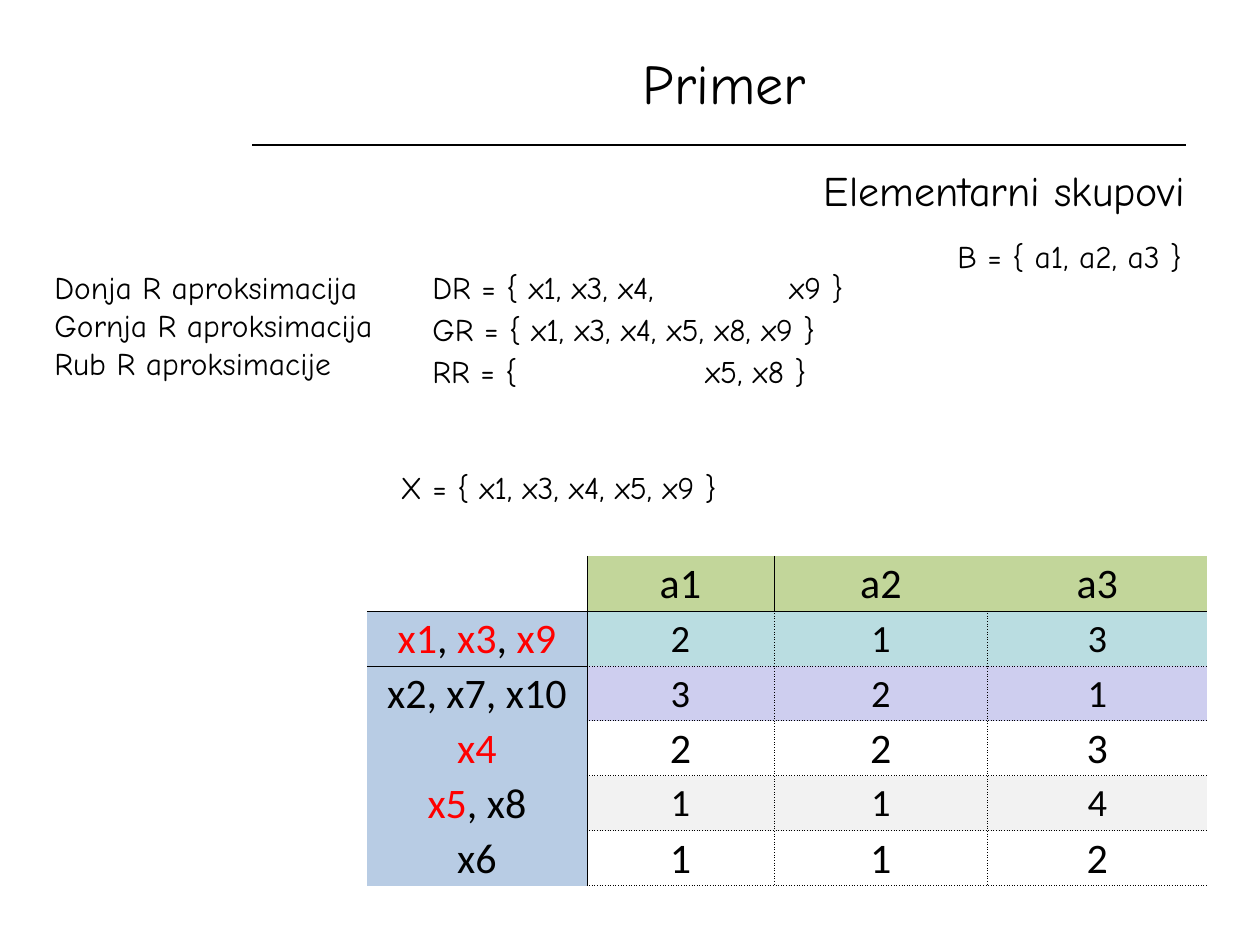
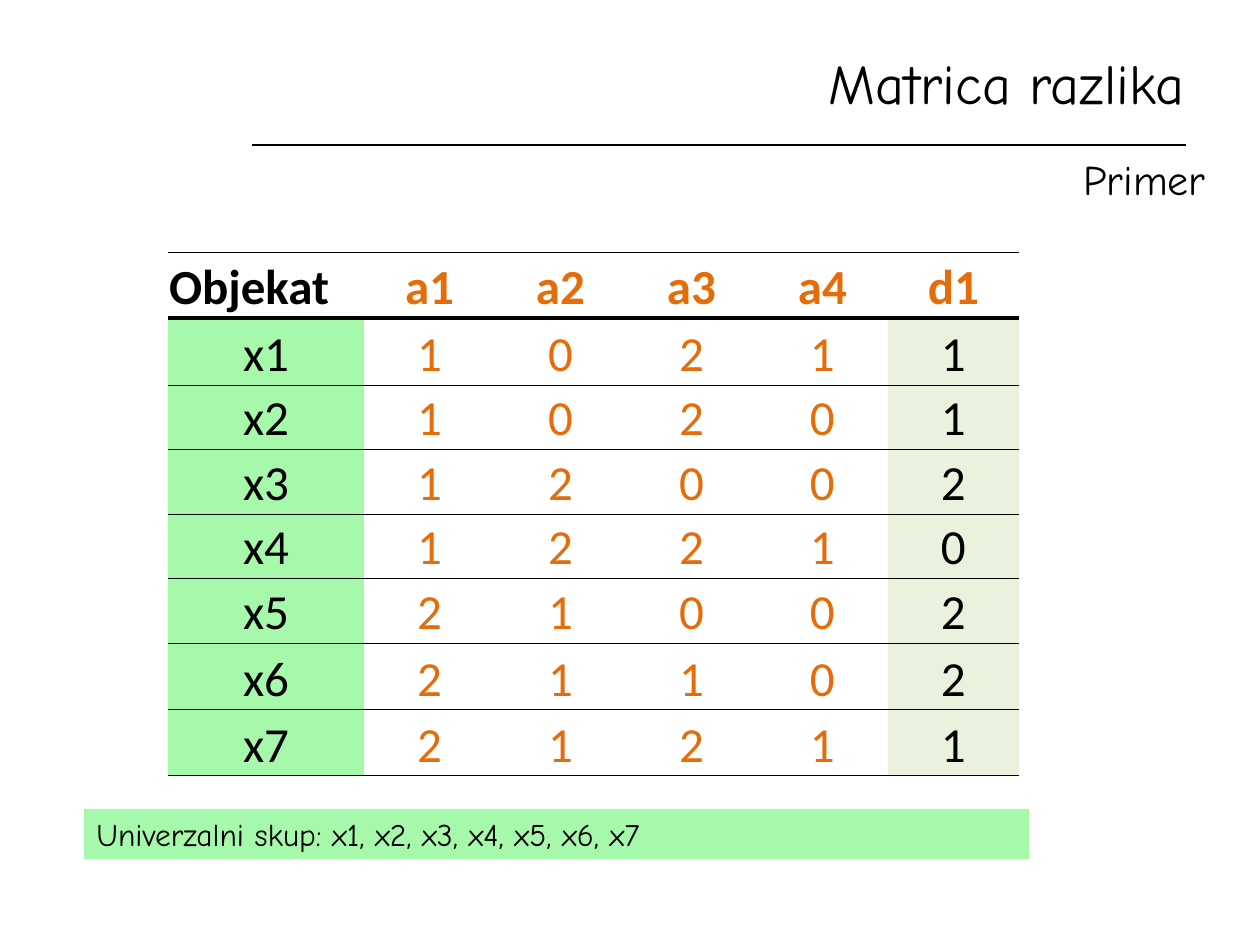
"""Build two slides on rough sets: elementary sets and a difference matrix."""
import pptx
import pptx.dml.color
import pptx.enum.shapes
import pptx.enum.text
import pptx.oxml.ns
import pptx.util
from lxml import etree

UNIT = 914400 / 126
HUES = {
    "ink": "000000", "red": "FF0000", "orange": "E46D0A", "olive": "C2D69A",
    "blue": "B8CCE4", "teal": "BADDE1", "lilac": "CECEEF", "grey": "F2F2F2",
    "green": "A6F8AA", "pale": "EAF1DD",
}
HAND, PLAIN = "Comic Neue", "Calibri"
NO_GRID = "{2D5ABB26-0587-4C30-8999-92F81FD0307C}"
ALIGN = pptx.enum.text.PP_ALIGN
ANCHOR = pptx.enum.text.MSO_ANCHOR
THIN, THICK, DOTS = (0.5, "solid"), (2, "solid"), (0.5, "dot")
SIDES = "LRTB"


def px(num):
    """Turn px into EMU."""
    return pptx.util.Emu(round(num * UNIT))


def hue(name):
    """Return the named colour."""
    return pptx.dml.color.RGBColor.from_string(HUES[name])


def node(root, tag, **attrs):
    """Append a drawing element to root."""
    return etree.SubElement(root, pptx.oxml.ns.qn("a:" + tag), attrs)


def write(frame, text, size=18, font=HAND, color="ink", bold=False,
          align=ALIGN.LEFT, anchor=ANCHOR.TOP, before=0, tab=None):
    """Fill a text frame; parts between asterisks turn red."""
    frame.word_wrap = True
    frame.vertical_anchor = anchor
    for num, line in enumerate(text.split("\n")):
        para = frame.add_paragraph() if num else frame.paragraphs[0]
        para.alignment = align
        para.space_before = pptx.util.Pt(before)
        if tab:
            stops = node(para._p.get_or_add_pPr(), "tabLst")
            node(stops, "tab", pos=str(px(tab)), algn="l")
        for spot, part in enumerate(line.split("*")):
            if part:
                run = para.add_run()
                run.text = part
                run.font.size = pptx.util.Pt(size)
                run.font.name = font
                run.font.bold = bold
                run.font.color.rgb = hue("red" if spot % 2 else color)


def label(slide, box, text, **style):
    """Add a text box."""
    shape = slide.shapes.add_textbox(*map(px, box))
    write(shape.text_frame, text, **style)


def band(slide, box, text, fill):
    """Add a filled box with text."""
    kind = pptx.enum.shapes.MSO_SHAPE.RECTANGLE
    shape = slide.shapes.add_shape(kind, *map(px, box))
    shape.shadow.inherit = False
    shape.fill.solid()
    shape.fill.fore_color.rgb = hue(fill)
    shape.line.fill.background()
    write(shape.text_frame, text)


def start(deck, text, align):
    """Add a slide with its title and rule."""
    slide = deck.slides.add_slide(deck.slide_layouts[5])
    title = slide.shapes.title
    title.left, title.top, title.width, title.height = map(px, (252, 35, 945, 95))
    write(title.text_frame, text, size=32, align=align, anchor=ANCHOR.MIDDLE)
    kind = pptx.enum.shapes.MSO_CONNECTOR.STRAIGHT
    rule = slide.shapes.add_connector(kind, *map(px, (252, 145, 1186, 145)))
    rule.line.color.rgb = hue("ink")
    rule.line.width = pptx.util.Pt(0.75)
    node(rule._element.spPr, "effectLst")
    return slide


def grid(slide, spot, cols, rows):
    """Add a bare table with the given column and row sizes."""
    frame = slide.shapes.add_table(
        len(rows), len(cols), *map(px, (*spot, sum(cols), sum(rows))))
    table = frame.table
    table.first_row = table.horz_banding = False
    for style in frame._element.iter(pptx.oxml.ns.qn("a:tableStyleId")):
        style.text = NO_GRID
    for col, size in zip(table.columns, cols):
        col.width = px(size)
    for row, size in zip(table.rows, rows):
        row.height = px(size)
    return table


def fit(cell, text, fill, edges, anchor, **style):
    """Set the edges, fill and text of a cell."""
    props = cell._tc.get_or_add_tcPr()
    for side in SIDES:
        if edges.get(side):
            width, dash = edges[side]
            line = node(props, "ln" + side, w=str(pptx.util.Pt(width)))
            node(node(line, "solidFill"), "srgbClr", val=HUES["ink"])
            node(line, "prstDash", val=dash)
    if fill:
        cell.fill.solid()
        cell.fill.fore_color.rgb = hue(fill)
    else:
        cell.fill.background()
    cell.margin_left = cell.margin_right = cell.margin_top = px(1)
    cell.margin_bottom = 0
    write(cell.text_frame, text, font=PLAIN, **style)
    cell.vertical_anchor = anchor


def classes(slide):
    """Add the table of elementary sets."""
    data = [
        (None, ["", "a1", "a2", "a3"]),
        ("teal", ["*x1*, *x3*, *x9*", "2", "1", "3"]),
        ("lilac", ["x2, x7, x10", "3", "2", "1"]),
        (None, ["*x4*", "2", "2", "3"]),
        ("grey", ["*x5*, x8", "1", "1", "4"]),
        (None, ["x6", "1", "1", "2"]),
    ]
    table = grid(slide, (367, 556), [220, 187, 214, 219], [55] * len(data))
    for row, (tint, words) in enumerate(data):
        for col, word in enumerate(words):
            head, name = row == 0, col == 0
            inner = None if head else DOTS
            edges = {
                "L": None if name else THIN if col == 1 else inner,
                "R": THIN if name else inner if col < 3 else None,
                "T": THIN if row == 1 else None if name else inner,
                "B": THIN if head else None if name else DOTS,
            }
            if head:
                fill = None if name else "olive"
            else:
                fill = "blue" if name else tint
            fit(table.cell(row, col), word, fill, edges, ANCHOR.MIDDLE,
                size=22 if tint and not name else 24, align=ALIGN.CENTER)


def matrix(slide):
    """Add the table of objects and attributes."""
    data = ["Objekat a1 a2 a3 a4 d1", "x1 1 0 2 1 1", "x2 1 0 2 0 1",
            "x3 1 2 0 0 2", "x4 1 2 2 1 0", "x5 2 1 0 0 2",
            "x6 2 1 1 0 2", "x7 2 1 2 1 1"]
    rows = [66, 67, 64, 65, 64, 65, 67, 66]
    table = grid(slide, (168, 252), [196] + [131] * 5, rows)
    for row, line in enumerate(data):
        for col, word in enumerate(line.split()):
            head = row == 0
            edges = {"T": THICK if row == 1 else THIN,
                     "B": THICK if head else THIN}
            fill = None if head else {0: "green", 5: "pale"}.get(col)
            dark = fill or col == 0
            fit(table.cell(row, col), word, fill, edges, ANCHOR.BOTTOM,
                size=28, bold=head, color="ink" if dark else "orange",
                align=ALIGN.LEFT if head and col == 0 else ALIGN.CENTER)


def main():
    """Build and save the deck."""
    deck = pptx.Presentation()
    deck.slide_width, deck.slide_height = px(1260), px(945)

    slide = start(deck, "Primer", ALIGN.CENTER)
    label(slide, (399, 158, 798, 63), "Elementarni skupovi",
          size=24, align=ALIGN.RIGHT, before=4.8)
    classes(slide)
    label(slide, (388, 462, 451, 50), "X = { x1, x3, x4, x5, x9 }")
    label(slide, (945, 231, 262, 50), "B = { a1, a2, a3 }")
    label(slide, (42, 262, 368, 165),
          "Donja R aproksimacija\nGornja R aproksimacija\nRub R aproksimacije")
    sets = [("DR = { x1, x3, x4,\tx9 }", 357),
            ("GR = { x1, x3, x4, x5, x8, x9 }", None),
            ("RR = {\tx5, x8 }", 273)]
    for num, (text, tab) in enumerate(sets):
        label(slide, (420, 262 + 42 * num, 451, 50), text, tab=tab)

    slide = start(deck, "Matrica razlika", ALIGN.RIGHT)
    label(slide, (872, 147, 346, 63), "Primer",
          size=24, align=ALIGN.RIGHT, anchor=ANCHOR.MIDDLE)
    matrix(slide)
    band(slide, (84, 809, 945, 50),
         "Univerzalni skup: x1, x2, x3, x4, x5, x6, x7", "green")
    deck.save("out.pptx")


if __name__ == "__main__":
    main()
